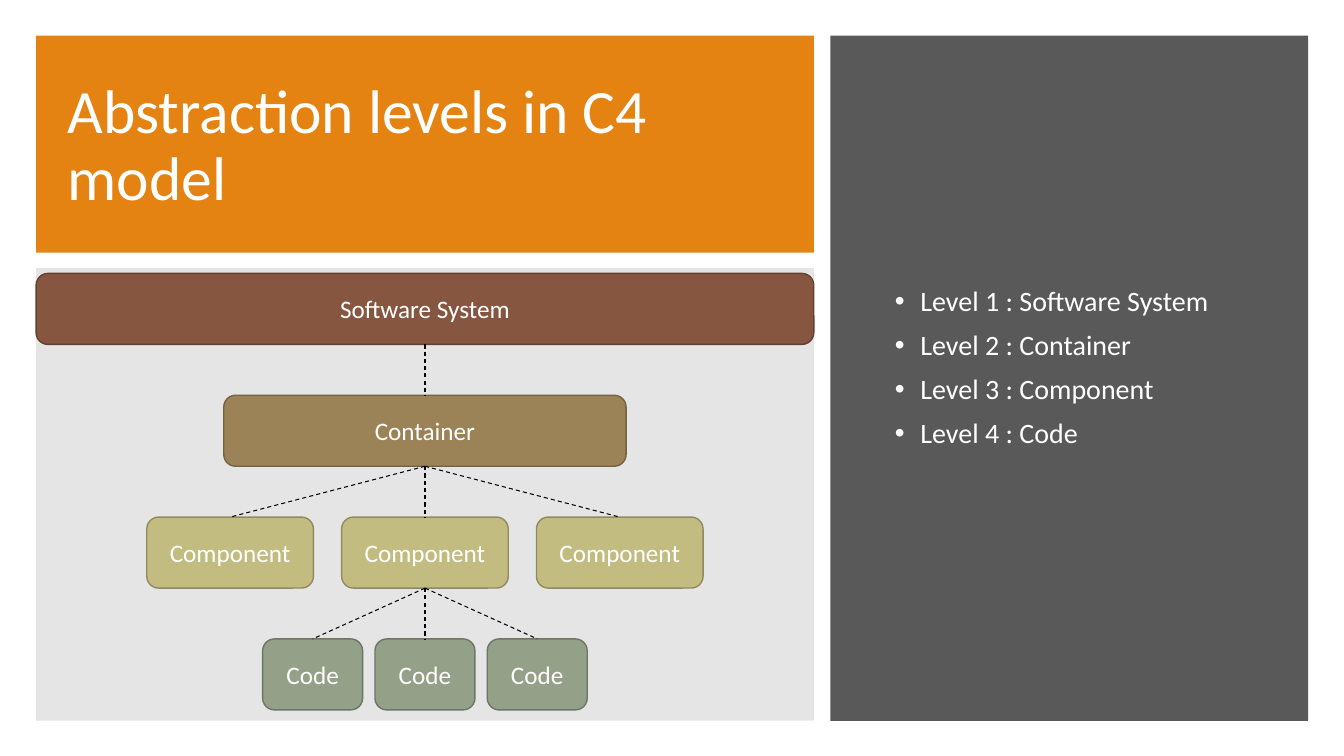
"""Build the slide on the abstraction levels of the C4 model."""
from lxml.etree import SubElement
from pptx import Presentation
from pptx.dml.color import RGBColor as RGB
from pptx.enum.dml import MSO_LINE
from pptx.enum.shapes import MSO_CONNECTOR, MSO_SHAPE as SHAPE
from pptx.enum.text import MSO_ANCHOR, MSO_AUTO_SIZE, PP_ALIGN
from pptx.oxml.ns import qn
from pptx.util import Cm, Pt

COLORS = {
    "white": "FFFFFF", "black": "000000",
    "title": "E48312", "diagram": "7F7F7F", "list": "595959",
    "Software System": ("865640", "63402F"),
    "Container": ("9B8357", "736140"),
    "Component": ("C2BC80", "908B5F"),
    "Code": ("94A088", "6D7665"),
}


def add_box(kind, left, top, width, height, fill):
    sp = s.shapes.add_shape(kind, Cm(left), Cm(top), Cm(width), Cm(height))
    sp.shadow.inherit = False
    sp.fill.solid()
    sp.fill.fore_color.rgb = RGB.from_string(fill)
    sp.line.fill.background()
    return sp


def add_text(p, text, size, align):
    p.alignment = align
    r = p.add_run()
    r.text = text
    r.font.name = "Calibri"
    r.font.size = Pt(size)
    r.font.color.rgb = RGB.from_string(COLORS["white"])


prs = Presentation()
prs.slide_width, prs.slide_height = Cm(33.87), Cm(19.05)
s = prs.slides.add_slide(prs.slide_layouts[1])
title, body = s.placeholders

add_box(SHAPE.RECTANGLE, 0.91, 0.9, 19.6, 5.47, COLORS["title"])
diagram = add_box(SHAPE.RECTANGLE, 0.91, 6.76, 19.6, 11.4, COLORS["diagram"])
color = diagram.fill._xPr.find(qn("a:solidFill"))[0]
SubElement(color, qn("a:alpha")).set("val", "20000")
add_box(SHAPE.RECTANGLE, 20.93, 0.9, 12.04, 17.27, COLORS["list"])

for sp, left, top, width, height in (
    (title, 1.45, 1.45, 18.31, 4.52),
    (body, 22.3, 2.54, 9.53, 13.49),
):
    sp.left, sp.top, sp.width, sp.height = Cm(left), Cm(top), Cm(width), Cm(height)
    sp.text_frame.word_wrap = True
    sp.text_frame.auto_size = MSO_AUTO_SIZE.NONE
    sp.text_frame.vertical_anchor = MSO_ANCHOR.MIDDLE
    s.shapes.element.append(sp.element)

p = title.text_frame.paragraphs[0]
p.line_spacing = 0.9
add_text(p, "Abstraction levels in C4 model", 44, PP_ALIGN.LEFT)

levels = [
    ("Software System", 1, 19.6, 0),
    ("Container", 1, 10.14, 0),
    ("Component", 3, 4.2, 4.91),
    ("Code", 3, 2.52, 2.83),
]
center, first_top, row_step, box_height = 10.71, 6.89, 3.07, 1.79
tf = body.text_frame
parent = None

for i, (name, count, width, pitch) in enumerate(levels):
    p = tf.paragraphs[0] if i == 0 else tf.add_paragraph()
    p.line_spacing = 0.9
    p.space_before = Pt(10)
    add_text(p, f"Level {i + 1} : {name}", 20, PP_ALIGN.LEFT)
    pPr = p._p.get_or_add_pPr()
    pPr.set("marL", str(Cm(0.64)))
    pPr.set("indent", str(-Cm(0.64)))
    SubElement(pPr, qn("a:buFont")).set("typeface", "Arial")
    SubElement(pPr, qn("a:buChar")).set("char", "•")

    fill, edge = COLORS[name]
    boxes = []
    for j in range(count):
        left = center + (j - (count - 1) / 2) * pitch - width / 2
        box = add_box(SHAPE.ROUNDED_RECTANGLE, left, first_top + i * row_step,
                      width, box_height, fill)
        box.line.color.rgb = RGB.from_string(edge)
        box.line.width = Pt(1)
        box.text_frame.word_wrap = True
        box.text_frame.vertical_anchor = MSO_ANCHOR.MIDDLE
        add_text(box.text_frame.paragraphs[0], name, 18, PP_ALIGN.CENTER)
        boxes.append(box)
        if parent is not None:
            link = s.shapes.add_connector(MSO_CONNECTOR.STRAIGHT, 0, 0, 0, 0)
            link.begin_connect(parent, 2)
            link.end_connect(box, 0)
            link.line.color.rgb = RGB.from_string(COLORS["black"])
            link.line.width = Pt(0.75)
            link.line.dash_style = MSO_LINE.DASH
            SubElement(link.element.spPr, qn("a:effectLst"))
    parent = boxes[count // 2]

prs.save("out.pptx")
